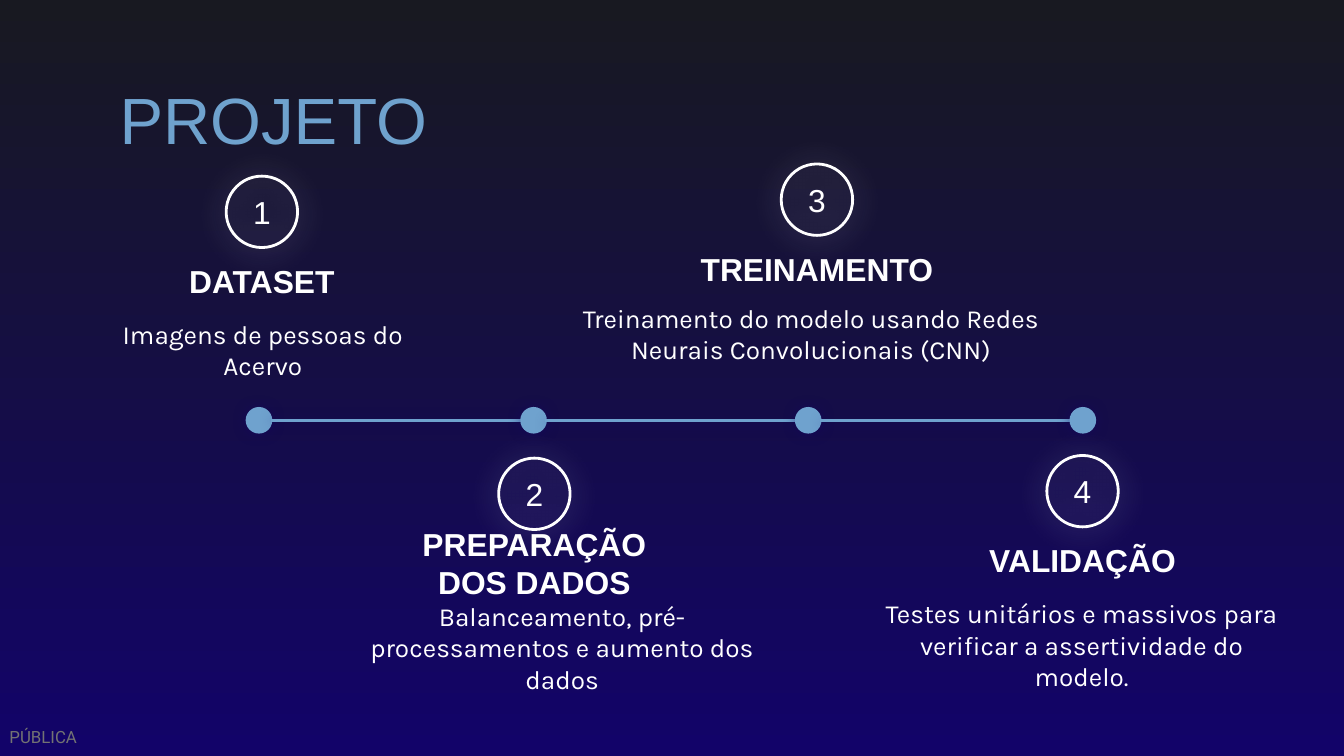
import lxml.etree
import pptx
import pptx.dml.color
import pptx.enum.shapes
import pptx.enum.text
import pptx.oxml.ns
import pptx.util

Cm = pptx.util.Cm
Pt = pptx.util.Pt
ANCHOR = pptx.enum.text.MSO_ANCHOR
ALIGN = pptx.enum.text.PP_ALIGN
NAVY, NIGHT, BLUE, WHITE, GRAY = "120369", "181921", "6FA2CE", "FFFFFF", "737373"


def rgb(value):
    """Return the colour for a hex string."""
    return pptx.dml.color.RGBColor.from_string(value)


def write(shape, text, size, font, color, bold=False, align=ALIGN.LEFT,
          anchor=ANCHOR.TOP, inset=0.25):
    """Put one formatted paragraph in a shape."""
    frame = shape.text_frame
    frame.word_wrap = True
    frame.vertical_anchor = anchor
    frame.margin_left = frame.margin_right = Cm(inset)
    frame.margin_top = frame.margin_bottom = Cm(inset)
    frame.text = text
    paragraph = frame.paragraphs[0]
    paragraph.alignment = align
    for run in paragraph.runs:
        run.font.size = Pt(size)
        run.font.name = font
        run.font.bold = bold
        run.font.color.rgb = rgb(color)


def add_text(slide, box, text, size, font, color, **style):
    """Add a text box whose box is given in centimetres."""
    label = slide.shapes.add_textbox(*map(Cm, box))
    write(label, text, size, font, color, **style)


def outline(shape, color, glow, blur, distance):
    """Draw a line around a shape with a soft coloured shadow behind it."""
    shape.line.color.rgb = rgb(color)
    shape.line.width = Pt(1.5)
    qn = pptx.oxml.ns.qn
    effects = lxml.etree.SubElement(shape._element.spPr, qn("a:effectLst"))
    shadow = lxml.etree.SubElement(
        effects, qn("a:outerShdw"), blurRad=str(Pt(blur)), dist=str(Pt(distance)),
        dir="5400000", algn="bl", rotWithShape="0")
    tint = lxml.etree.SubElement(shadow, qn("a:srgbClr"), val=glow)
    lxml.etree.SubElement(tint, qn("a:alpha"), val="50000")


def add_circle(slide, left, top, size):
    """Add a plain circle."""
    return slide.shapes.add_shape(
        pptx.enum.shapes.MSO_SHAPE.OVAL, Cm(left), Cm(top), Cm(size), Cm(size))


def add_background(slide):
    """Fill the slide with a vertical gradient."""
    fill = slide.background.fill
    fill.gradient()
    fill.gradient_angle = 90
    for stop, color in zip(fill.gradient_stops, (NAVY, NIGHT)):
        stop.color.rgb = rgb(color)


def add_timeline(slide, box, count):
    """Spread joined dots evenly over the box."""
    left, top, width, dot_size = box
    pitch = (width - dot_size) / (count - 1)
    middle = top + dot_size / 2
    for index in range(count):
        dot_left = left + index * pitch
        dot = add_circle(slide, dot_left, top, dot_size)
        dot.fill.solid()
        dot.fill.fore_color.rgb = rgb(BLUE)
        outline(dot, BLUE, NAVY, 6.8, 0)
        if index < count - 1:
            link = slide.shapes.add_connector(
                pptx.enum.shapes.MSO_CONNECTOR.STRAIGHT,
                Cm(dot_left + dot_size), Cm(middle), Cm(dot_left + pitch), Cm(middle))
            outline(link, BLUE, NAVY, 6.8, 1.5 if index else 0)


def add_step(slide, box, axis, number, heading, description):
    """Stack a numbered ring and heading on the axis above a description."""
    left, top, width, height = box
    ring_size, heading_width, heading_height, body_height = 1.35, 5.92, 0.91, 1.75
    centred = {"align": ALIGN.CENTER, "anchor": ANCHOR.MIDDLE}
    add_text(slide, (axis - heading_width / 2, top + 1.52, heading_width, heading_height),
             heading, 17, "Arial", WHITE, bold=True, **centred)
    add_text(slide, (left, top + height - body_height, width, body_height),
             description, 14, "Karla", WHITE, align=ALIGN.CENTER)
    ring = add_circle(slide, axis - ring_size / 2, top, ring_size)
    ring.fill.background()
    outline(ring, WHITE, WHITE, 15.8, 1.5)
    write(ring, str(number), 17, "Arial", WHITE, **centred)


def main():
    """Build the project timeline slide."""
    deck = pptx.Presentation()
    deck.slide_width, deck.slide_height = Cm(25.4), Cm(14.29)
    slide = deck.slides.add_slide(deck.slide_layouts[6])
    add_background(slide)
    add_text(slide, (0.18, 13.74, 1.5, 0.38), "PÚBLICA", 9, "Roboto", GRAY, inset=0)
    add_text(slide, (2.01, 1.24, 21.41, 3.15), "PROJETO", 35, "Arial", BLUE)
    add_timeline(slide, (4.67, 7.72, 16.02, 0.45), 4)
    steps = [
        ((2.01, 3.33, 5.92, 4.19), 4.95, "DATASET",
         "Imagens de pessoas do Acervo"),
        ((6.22, 8.66, 8.81, 4.19), 10.1, "PREPARAÇÃO DOS DADOS",
         "Balanceamento, pré-processamentos e aumento dos dados"),
        ((10.72, 3.1, 9.22, 4.11), 15.44, "TREINAMENTO",
         "Treinamento do modelo usando Redes Neurais Convolucionais (CNN)"),
        ((16.28, 8.61, 8.33, 4.19), 20.46, "VALIDAÇÃO",
         "Testes unitários e massivos para verificar a assertividade do modelo."),
    ]
    for number, (box, axis, heading, description) in enumerate(steps, 1):
        add_step(slide, box, axis, number, heading, description)
    deck.save("out.pptx")


if __name__ == "__main__":
    main()
